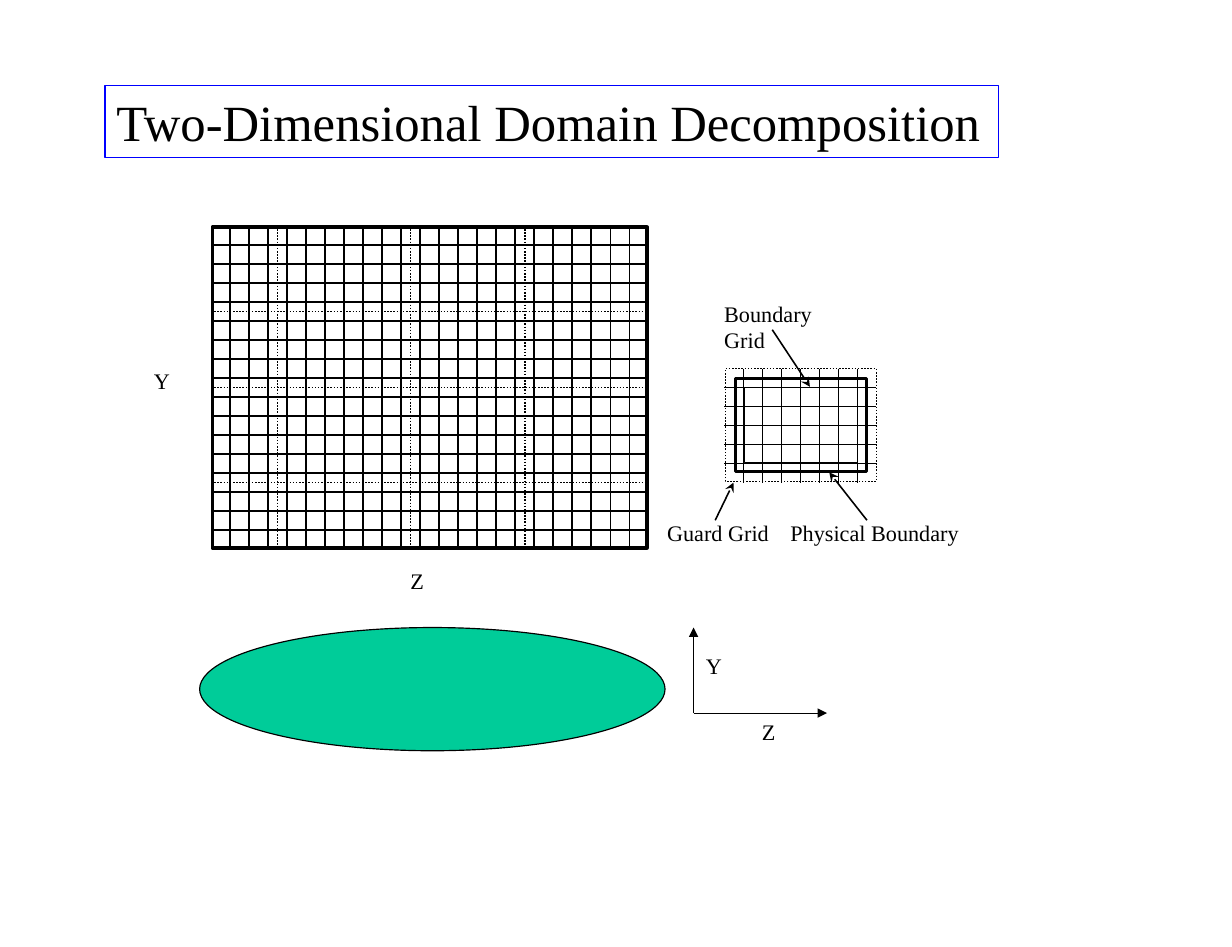
from lxml.etree import SubElement
from pptx import Presentation
from pptx.dml.color import RGBColor
from pptx.enum.dml import MSO_LINE
from pptx.enum.shapes import MSO_CONNECTOR, MSO_SHAPE
from pptx.enum.text import MSO_ANCHOR, MSO_AUTO_SIZE, PP_ALIGN
from pptx.oxml.ns import qn
from pptx.util import Inches, Pt

CELL = 1 / 6
FONT = "Times New Roman"
BLACK = "000000"


def rgb(value):
    return RGBColor.from_string(value)


def set_line(line, width, color=BLACK, dotted=False):
    line.color.rgb = rgb(color)
    line.width = Pt(width)
    if dotted:
        line.dash_style = MSO_LINE.ROUND_DOT


def add_line(s, x1, y1, x2, y2, width=1, dotted=False, arrow=None):
    c = s.shapes.add_connector(
        MSO_CONNECTOR.STRAIGHT, Inches(x1), Inches(y1), Inches(x2), Inches(y2)
    )
    set_line(c.line, width, dotted=dotted)
    sp_pr = c.element.spPr
    if arrow:
        SubElement(sp_pr.find(qn("a:ln")), qn("a:tailEnd"), type=arrow)
    SubElement(sp_pr, qn("a:effectLst"))


def add_outline(s, x, y, w, h, width, dotted=False, kind=MSO_SHAPE.RECTANGLE, fill=None):
    sp = s.shapes.add_shape(kind, Inches(x), Inches(y), Inches(w), Inches(h))
    sp.shadow.inherit = False
    if fill:
        sp.fill.solid()
        sp.fill.fore_color.rgb = rgb(fill)
    else:
        sp.fill.background()
    set_line(sp.line, width, dotted=dotted)


def write(tf, text, size):
    p = tf.paragraphs[0]
    p.alignment = PP_ALIGN.LEFT
    r = p.add_run()
    r.text = text
    r.font.size = Pt(size)
    r.font.name = FONT
    r.font.color.rgb = rgb(BLACK)


def add_label(s, text, x, y, w, h=0.33, wrap=False):
    tf = s.shapes.add_textbox(Inches(x), Inches(y), Inches(w), Inches(h)).text_frame
    tf.word_wrap = wrap
    write(tf, text, 14)


def add_grid_lines(s, x, y, cols, rows, col_steps, row_steps, dotted=False):
    for step in col_steps:
        gx = x + step * CELL
        add_line(s, gx, y, gx, y + rows * CELL, dotted=dotted)
    for step in row_steps:
        gy = y + step * CELL
        add_line(s, x, gy, x + cols * CELL, gy, dotted=dotted)


def add_title(s, x, y, w, h):
    sp = s.shapes.title
    sp.left, sp.top, sp.width, sp.height = (Inches(v) for v in (x, y, w, h))
    set_line(sp.line, 0.75, "0000FF")
    tf = sp.text_frame
    tf.word_wrap = True
    tf.auto_size = MSO_AUTO_SIZE.NONE
    tf.vertical_anchor = MSO_ANCHOR.TOP
    write(tf, "Two-Dimensional Domain Decomposition", 32)


def add_domain(s, x, y, cols, rows):
    add_outline(s, x + 0.01, y + 0.01, cols * CELL - 0.02, rows * CELL - 0.02, 2)
    add_grid_lines(s, x, y, cols, rows, range(1, cols), range(1, rows))
    add_grid_lines(s, x, y, cols, rows, (3.5, 10.5, 16.5), (4.5, 8.5, 13.5), dotted=True)
    add_label(s, "Y", x - 0.6, y + 1.19, 0.34)
    add_label(s, "Z", x + 1.65, y + 2.94, 0.32)


def add_subdomain(s, x, y, cols, rows):
    w, h = cols * CELL, rows * CELL
    add_outline(s, x + 0.01, y, w - 0.01, h - 0.01, 1, dotted=True)
    add_grid_lines(s, x, y, cols, rows, range(1, cols), range(1, rows))
    for inset, width in ((0.09, 2), (CELL, 1)):
        add_outline(s, x + inset + 0.01, y + inset, w - 2 * inset - 0.01, h - 2 * inset - 0.01, width)
    add_line(s, x - 0.08, y + 1.33, x + 0.08, y + 1, arrow="stealth")
    add_label(s, "Guard Grid", x - 0.6, y + 1.27, 1.1)
    add_line(s, x + 0.42, y - 0.34, x + 0.75, y + 0.16, arrow="stealth")
    add_label(s, "Boundary Grid", x - 0.1, y - 0.65, 1.35, 0.57, wrap=True)
    add_label(s, "Physical Boundary", x + 0.48, y + 1.27, 1.68)
    add_line(s, x + 1.25, y + 1.33, x + 0.92, y + 0.91, arrow="stealth")


def add_axes(s, x, y, w, h):
    add_line(s, x, y + h, x + w, y + h, 0.75, arrow="triangle")
    add_line(s, x, y + h, x, y, 0.75, arrow="triangle")
    add_label(s, "Z", x + 0.5, y + h, 0.32)
    add_label(s, "Y", x + 0.01, y + 0.17, 0.34)


def main():
    prs = Presentation()
    prs.slide_width, prs.slide_height = Inches(10.8), Inches(8.3)
    s = prs.slides.add_slide(prs.slide_layouts[5])
    add_domain(s, 1.85, 1.98, 23, 17)
    add_subdomain(s, 6.35, 3.23, 8, 6)
    add_title(s, 0.92, 0.75, 7.83, 0.63)
    add_outline(s, 1.75, 5.5, 4.08, 1.08, 0.75, kind=MSO_SHAPE.OVAL, fill="00CC99")
    add_axes(s, 6.08, 5.5, 1.17, 0.75)
    prs.save("out.pptx")


if __name__ == "__main__":
    main()
